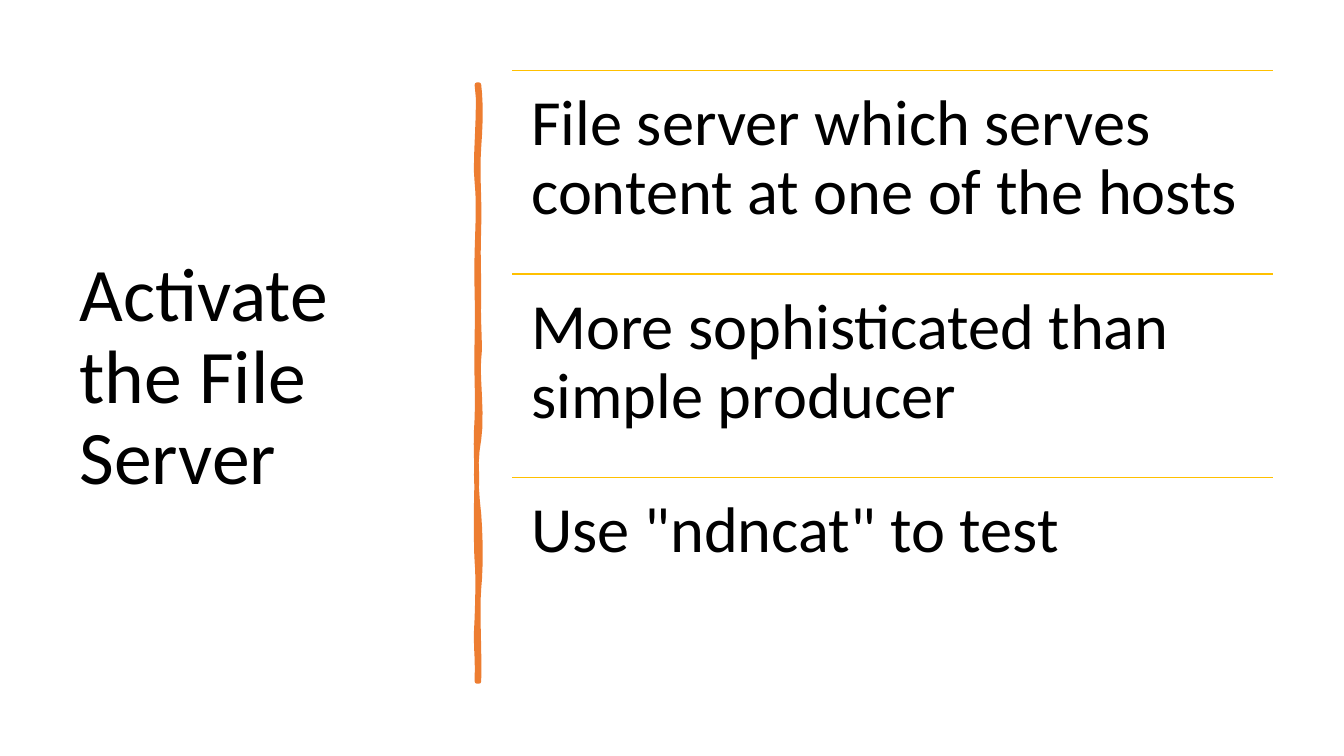
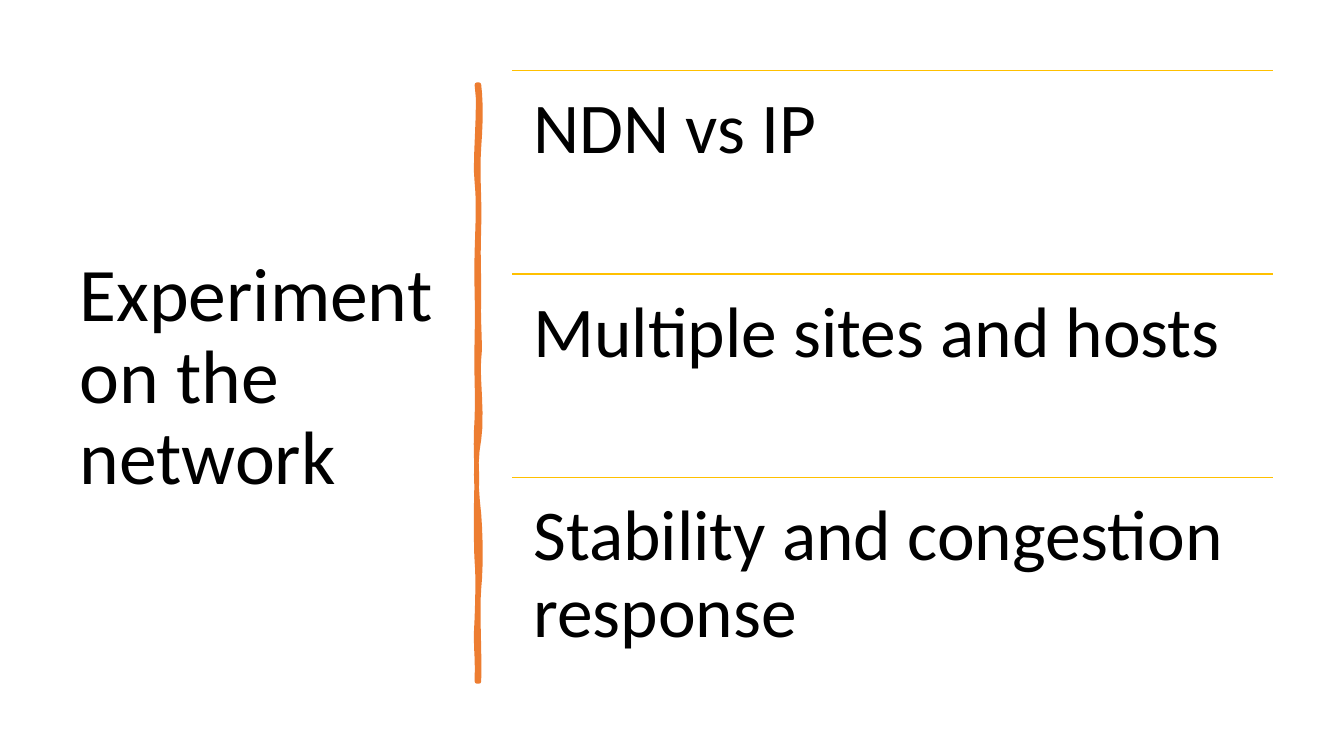
from dataclasses import dataclass

from lxml.etree import SubElement
from pptx import Presentation
from pptx.dml.color import RGBColor
from pptx.enum.text import MSO_ANCHOR
from pptx.oxml.ns import qn
from pptx.slide import Slide
from pptx.util import Inches, Pt

FONT = "Calibri"
BLACK, ORANGE, GOLD = "000000", "ED7D31", "FFC000"
LEFT, TOP, WIDTH, STEP = 5.08, 0.7, 7.55, 2.02
STEPS = 6  # straight pieces per curve

# Wavy bar, each curve as two control points and an end point
START = (4.75, 0.84)
CURVES = [
    (4.77, 1.02, 4.77, 1.19, 4.75, 1.46),
    (4.73, 1.73, 4.76, 1.95, 4.75, 2.26),
    (4.74, 2.57, 4.75, 2.62, 4.75, 2.94),
    (4.74, 3.25, 4.77, 3.42, 4.75, 3.56),
    (4.73, 3.7, 4.79, 4.14, 4.75, 4.36),
    (4.71, 4.57, 4.72, 4.84, 4.75, 5.1),
    (4.77, 5.36, 4.77, 5.64, 4.75, 5.84),
    (4.73, 6.03, 4.76, 6.5, 4.75, 6.76),
    (4.74, 6.76, 4.73, 6.76, 4.73, 6.76),
    (4.74, 6.46, 4.71, 6.44, 4.73, 6.13),
    (4.74, 5.83, 4.74, 5.7, 4.73, 5.57),
    (4.72, 5.44, 4.72, 4.95, 4.73, 4.77),
    (4.73, 4.59, 4.71, 4.45, 4.73, 4.15),
    (4.74, 3.86, 4.72, 3.73, 4.73, 3.35),
    (4.74, 2.98, 4.72, 2.81, 4.73, 2.5),
    (4.74, 2.18, 4.75, 2, 4.73, 1.81),
    (4.7, 1.63, 4.77, 1.04, 4.73, 0.84),
]


@dataclass
class Page:
    title: str
    items: list[str]
    size: int
    inset: float


PAGES = [
    Page("Activate the File Server",
         ["File server which serves content at one of the hosts",
          "More sophisticated than simple producer",
          'Use "ndncat" to test'], 46, 0.19),
    Page("Experiment on the network",
         ["NDN vs IP", "Multiple sites and hosts",
          "Stability and congestion response"], 51, 0.21),
]


def color(code: str) -> RGBColor:
    return RGBColor.from_string(code)


def add_text(slide: Slide, text: str, box: tuple, size: int, **form) -> None:
    """Add a text box; form holds text frame attributes."""
    frame = slide.shapes.add_textbox(*map(Inches, box)).text_frame
    for name, value in {"word_wrap": True, **form}.items():
        setattr(frame, name, value)
    para = frame.paragraphs[0]
    para.line_spacing = 0.9
    run = para.add_run()
    run.text = text
    for name, value in {"name": FONT, "size": Pt(size)}.items():
        setattr(run.font, name, value)
    run.font.color.rgb = color(BLACK)


def add_rule(slide: Slide, top: float) -> None:
    ends = map(Inches, (LEFT, top, LEFT + WIDTH, top))
    rule = slide.shapes.add_connector(1, *ends)
    rule.line.color.rgb = color(GOLD)
    rule.line.width = Pt(1)
    SubElement(rule._element.spPr, qn("a:effectLst"))


def trace() -> list[tuple[float, float]]:
    """Turn the curves of the bar into points."""
    points = [START]
    for ax, ay, bx, by, ex, ey in CURVES:
        sx, sy = points[-1]
        for step in range(1, STEPS + 1):
            t = step / STEPS
            u = 1 - t
            parts = u ** 3, 3 * u * u * t, 3 * u * t * t, t ** 3
            points.append((
                sum(p * x for p, x in zip(parts, (sx, ax, bx, ex))),
                sum(p * y for p, y in zip(parts, (sy, ay, by, ey)))))
    return points


def add_bar(slide: Slide) -> None:
    first, *rest = [(Inches(x), Inches(y)) for x, y in trace()]
    pen = slide.shapes.build_freeform(*first)
    pen.add_line_segments(rest, close=True)
    bar = pen.convert_to_shape()
    bar.shadow.inherit = False
    bar.fill.solid()
    bar.fill.fore_color.rgb = color(ORANGE)
    bar.line.color.rgb = color(ORANGE)
    bar.line.width = Pt(3.25)
    SubElement(bar.line._get_or_add_ln(), qn("a:round"))


def add_page(slide: Slide, page: Page) -> None:
    add_text(slide, page.title, (0.69, TOP, 3.74, 6.11), 54,
             vertical_anchor=MSO_ANCHOR.MIDDLE)
    add_bar(slide)
    sides = ("left", "top", "right", "bottom")
    insets = {f"margin_{side}": Inches(page.inset) for side in sides}
    for row, item in enumerate(page.items):
        top = TOP + row * STEP
        add_rule(slide, top)
        add_text(slide, item, (LEFT, top, WIDTH, STEP), page.size, **insets)


def main() -> None:
    deck = Presentation()
    deck.slide_width, deck.slide_height = Inches(13.33), Inches(7.5)
    for page in PAGES:
        add_page(deck.slides.add_slide(deck.slide_layouts[6]), page)
    deck.save("out.pptx")


if __name__ == "__main__":
    main()
